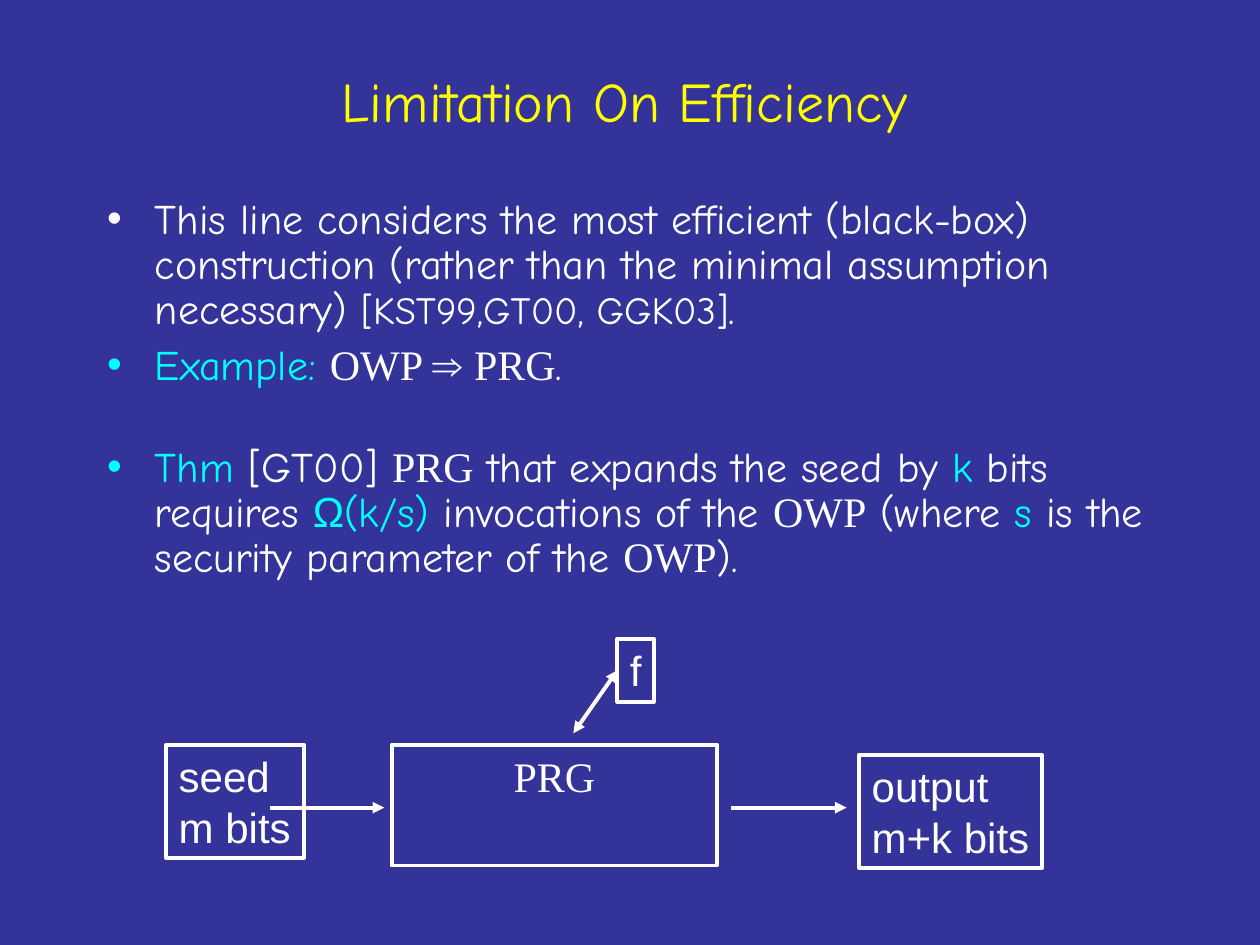
from lxml import etree
from pptx import Presentation
from pptx import util as u
from pptx.dml.color import RGBColor
from pptx.enum import shapes, text
from pptx.oxml.ns import qn

COLORS = {"back": "333399", "title": "FFFF00", "plain": "FFFFFF", "key": "00FFFF"}
HAND, SERIF, SANS = "Comic Neue", "Times New Roman", "Arial"
LINE_WIDTH = u.Pt(2.25)
ARROW_Y = 6.41

BULLETS = [
    (6, [
        ("This line considers the most efficient (black-box) construction "
         "(rather than the minimal assumption necessary) ", {}),
        ("[KST99,GT00, GGK03]", {"size": 22}),
        (".", {}),
    ]),
    (6, [
        ("Example: ", {"color": "key"}),
        ("OWP ", {"font": SERIF}),
        ("⇒ ", {"font": SANS}),
        ("PRG", {"font": SERIF}),
        (".", {}),
    ]),
    (32, [
        ("Thm", {"color": "key"}),
        (" [GT00] ", {}),
        ("PRG", {"font": SERIF}),
        (" that expands the seed by ", {}),
        ("k", {"color": "key"}),
        (" bits requires ", {}),
        ("Ω", {"font": SANS, "color": "key"}),
        ("(k/s)", {"color": "key"}),
        (" invocations of the ", {}),
        ("OWP", {"font": SERIF}),
        (" (where ", {}),
        ("s", {"color": "key"}),
        (" is the security parameter of the ", {}),
        ("OWP", {"font": SERIF}),
        (").", {}),
    ]),
]


def rgb(name):
    """Return a palette colour."""
    return RGBColor.from_string(COLORS[name])


def place(sp, left, top, width, height):
    """Move and size a shape, in inches."""
    sp.left, sp.top = u.Inches(left), u.Inches(top)
    sp.width, sp.height = u.Inches(width), u.Inches(height)


def write(p, words, font=HAND, size=24, color="plain"):
    """Add one formatted run to a paragraph."""
    r = p.add_run()
    r.text = words
    r.font.name, r.font.size = font, u.Pt(size)
    r.font.color.rgb = rgb(color)


def add_title(s, words):
    """Fill the title placeholder."""
    sp = s.shapes.title
    place(sp, 0.71, 0.17, 8.5, 1.25)
    tf = sp.text_frame
    tf.auto_size = text.MSO_AUTO_SIZE.NONE
    tf.vertical_anchor = text.MSO_ANCHOR.MIDDLE
    p = tf.paragraphs[0]
    p.alignment = text.PP_ALIGN.CENTER
    write(p, words, size=32, color="title")


def add_bullets(s, items):
    """Fill the body placeholder with bulleted paragraphs."""
    sp = s.placeholders[1]
    place(sp, 0.75, 1.52, 8.7, 3.32)
    tf = sp.text_frame
    tf.auto_size = text.MSO_AUTO_SIZE.NONE
    for i, (gap, runs) in enumerate(items):
        p = tf.add_paragraph() if i else tf.paragraphs[0]
        p.line_spacing, p.space_before = 0.9, u.Pt(gap)
        pPr = p._p.get_or_add_pPr()
        pPr.set("marL", str(u.Inches(0.38)))
        pPr.set("indent", str(u.Inches(-0.38)))
        etree.SubElement(pPr, qn("a:buFont"), typeface=SANS)
        etree.SubElement(pPr, qn("a:buChar"), char="•")
        for words, style in runs:
            write(p, words, **style)


def add_box(group, lines, *box, font=SANS, fixed=False):
    """Add an outlined box, either fixed in size or fitted to its text."""
    sp = group.shapes.add_shape(shapes.MSO_SHAPE.RECTANGLE, *map(u.Inches, box))
    sp.shadow.inherit = False
    sp.fill.background()
    sp.line.color.rgb, sp.line.width = rgb("plain"), LINE_WIDTH
    tf = sp.text_frame
    tf.word_wrap = fixed
    fit = text.MSO_AUTO_SIZE
    tf.auto_size = fit.NONE if fixed else fit.SHAPE_TO_FIT_TEXT
    tf.vertical_anchor = text.MSO_ANCHOR.TOP
    for i, words in enumerate(lines):
        p = tf.add_paragraph() if i else tf.paragraphs[0]
        p.alignment = text.PP_ALIGN.CENTER if fixed else text.PP_ALIGN.LEFT
        write(p, words, font=font)
    return sp


def add_arrow(group, *ends, heads=("tailEnd",)):
    """Add a straight arrow between two points, in inches."""
    cx = group.shapes.add_connector(shapes.MSO_CONNECTOR.STRAIGHT,
                                    *map(u.Inches, ends))
    cx.line.color.rgb, cx.line.width = rgb("plain"), LINE_WIDTH
    for head in heads:
        etree.SubElement(cx.line._get_or_add_ln(), qn("a:" + head), type="triangle")
    etree.SubElement(cx._element.spPr, qn("a:effectLst"))
    return cx


def add_diagram(s):
    """Draw the generator with its seed, output and function calls."""
    group = s.shapes.add_group_shape()
    add_box(group, ["PRG"], 3.11, 5.91, 2.58, 0.96, font=SERIF, fixed=True)
    add_arrow(group, 2.14, ARROW_Y, 3.05, ARROW_Y)
    add_box(group, ["seed", "m bits"], 1.32, 5.91, 1.09, 0.9)
    f = add_box(group, ["f"], 4.9, 5.07, 0.29, 0.5)
    call = add_arrow(group, 4.9, 5.32, 4.55, 5.82, heads=("headEnd", "tailEnd"))
    call.begin_connect(f, 1)
    add_arrow(group, 5.8, ARROW_Y, 6.72, ARROW_Y)
    add_box(group, ["output", "m+k bits"], 6.82, 5.99, 1.45, 0.9)


def main():
    """Build and save the slide."""
    prs = Presentation()
    prs.slide_width, prs.slide_height = u.Inches(10), u.Inches(7.5)
    s = prs.slides.add_slide(prs.slide_layouts[1])
    s.background.fill.solid()
    s.background.fill.fore_color.rgb = rgb("back")
    add_title(s, "Limitation On Efficiency")
    add_bullets(s, BULLETS)
    add_diagram(s)
    prs.save("out.pptx")


if __name__ == "__main__":
    main()
